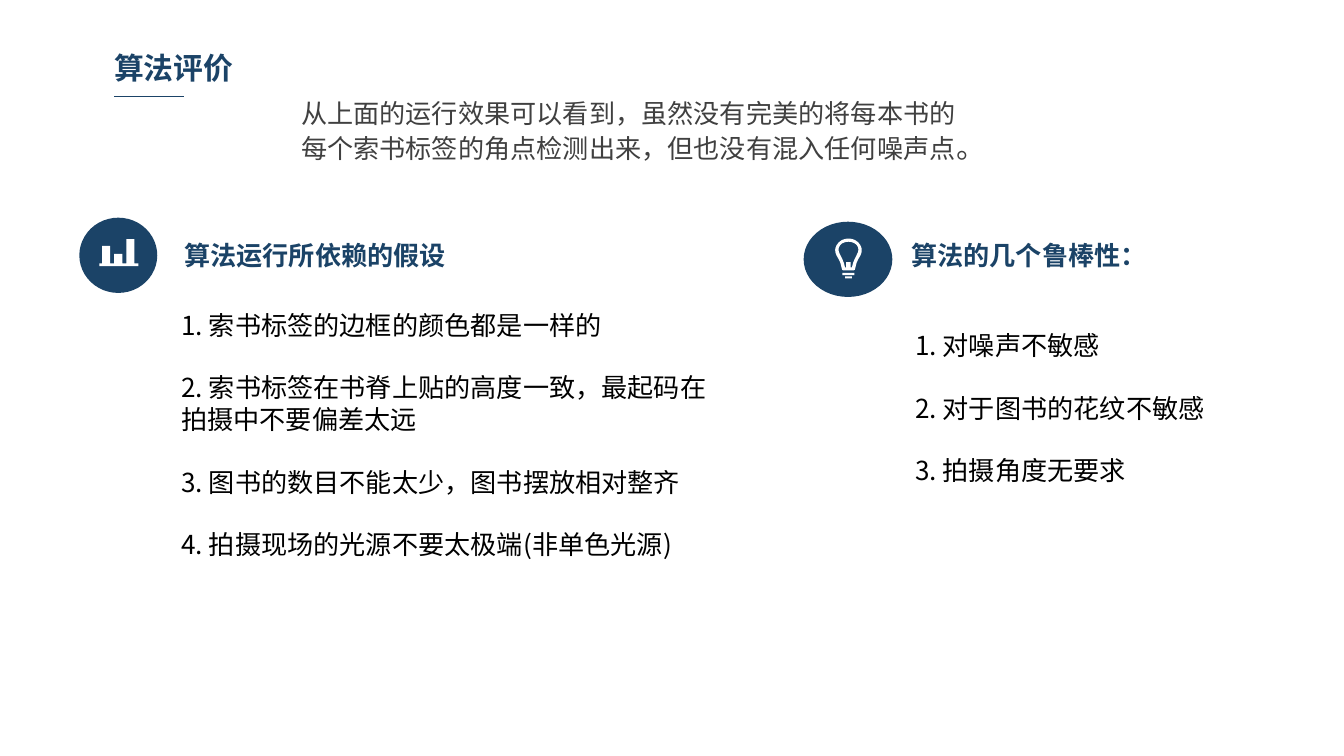
from lxml import etree
from pptx import Presentation
from pptx.dml.color import RGBColor
from pptx.enum.shapes import MSO_CONNECTOR, MSO_SHAPE
from pptx.enum.text import MSO_ANCHOR, PP_ALIGN
from pptx.oxml.ns import qn
from pptx.util import Inches, Pt

DISC = MSO_SHAPE.FLOWCHART_CONNECTOR
STRAIGHT = MSO_CONNECTOR.STRAIGHT
TOP = MSO_ANCHOR.TOP
LEFT = PP_ALIGN.LEFT
FONT = "Noto Sans CJK SC"
NAVY = RGBColor(0x1B, 0x43, 0x67)
GRAY = RGBColor(0x40, 0x40, 0x40)
BLACK = RGBColor(0, 0, 0)
WHITE = RGBColor(0xFF, 0xFF, 0xFF)
LINE_FACTOR = 1.2

TITLE = "算法评价"
INTRO = [
    ("从上面的运行效果可以看到，虽然没有完美的将每本书的"
     "每个索书标签的角点检测出来，但也没有混入任何噪声点", 14),
    ("。", 16),
]

BARS = [[
    (1000, 1960), (1000, 1780), (940, 1780), (940, 1960), (910, 1960),
    (910, 1890), (850, 1890), (850, 1960), (820, 1960), (820, 1830),
    (760, 1830), (760, 1960), (740, 1960), (740, 1980), (1030, 1980),
    (1030, 1960),
]]

BULB_CENTER = 6313
BULB_HALVES = [
    [(0, 1775), (25, 1778), (50, 1787), (72, 1803), (88, 1824), (97, 1845),
     (99, 1860), (97, 1880), (88, 1903), (72, 1930), (60, 1957), (52, 1990),
     (47, 2008), (38, 2013)],
    [(0, 1799), (25, 1802), (48, 1812), (63, 1826), (72, 1844), (74, 1860),
     (71, 1876), (60, 1900), (45, 1930), (33, 1960), (26, 1990), (17, 1990),
     (17, 1950)],
    [(45, 2030), (45, 2047)],
    [(25, 2057), (25, 2072)],
]
BULB = [
    [(BULB_CENTER + x, y) for x, y in half]
    + [(BULB_CENTER - x, y) for x, y in reversed(half)]
    for half in BULB_HALVES
]

SECTIONS = [
    {
        "heading": "算法运行所依赖的假设",
        "heading_at": (1.37, 1.78, 2.08, 0.24),
        "disc_at": (0.59, 1.62, 0.58, 0.56),
        "icon": BARS,
        "items": [
            "1. 索书标签的边框的颜色都是一样的",
            "2. 索书标签在书脊上贴的高度一致，最起码在拍摄中不要偏差太远",
            "3. 图书的数目不能太少，图书摆放相对整齐",
            "4. 拍摄现场的光源不要太极端(非单色光源)",
        ],
        "items_at": (1.25, 2.25, 4.27, 1.98),
    },
    {
        "heading": "算法的几个鲁棒性：",
        "heading_at": (6.78, 1.78, 2.01, 0.24),
        "disc_at": (5.98, 1.65, 0.66, 0.56),
        "icon": BULB,
        "items": [
            "1. 对噪声不敏感",
            "2. 对于图书的花纹不敏感",
            "3. 拍摄角度无要求",
        ],
        "items_at": (6.71, 2.4, 2.78, 1.28),
    },
]


def place(shape, area):
    shape.left, shape.top, shape.width, shape.height = map(Inches, area)


def write(box, paragraphs, color, bold=False, inset=(0, 0)):
    frame = box.text_frame
    frame.word_wrap = True
    frame.vertical_anchor = TOP
    frame.margin_left = frame.margin_right = Inches(inset[0])
    frame.margin_top = frame.margin_bottom = Inches(inset[1])
    for index, spans in enumerate(paragraphs):
        para = frame.add_paragraph() if index else frame.paragraphs[0]
        para.alignment = LEFT
        line_height = Pt(LINE_FACTOR * max(size for _, size in spans))
        para.line_spacing = line_height
        para.space_before = line_height if index else Pt(0)
        for text, size in spans:
            span = para.add_run()
            span.text = text
            span.font.name = FONT
            span.font.size = Pt(size)
            span.font.bold = bold
            span.font.color.rgb = color
            east_asian = etree.SubElement(span.font._element, qn("a:ea"))
            east_asian.set("typeface", FONT)


def add_text(slide, area, *args, **kwargs):
    box = slide.shapes.add_textbox(*map(Inches, area))
    write(box, *args, **kwargs)


def paint(shape, color):
    shape.shadow.inherit = False
    shape.fill.solid()
    shape.fill.fore_color.rgb = color
    shape.line.fill.background()


def add_icon(slide, contours):
    builder = slide.shapes.build_freeform(*contours[0][0], scale=Inches(1) / 1000)
    for index, points in enumerate(contours):
        if index:
            builder.move_to(*points[0])
        builder.add_line_segments(points[1:], close=True)
    paint(builder.convert_to_shape(), WHITE)


def add_section(slide, section):
    disc = slide.shapes.add_shape(DISC, *map(Inches, section["disc_at"]))
    paint(disc, NAVY)
    add_icon(slide, section["icon"])
    add_text(slide, section["heading_at"], [[(section["heading"], 14)]], NAVY, bold=True)
    items = [[(item, 14)] for item in section["items"]]
    add_text(slide, section["items_at"], items, BLACK, inset=(0.1, 0.05))


def main():
    deck = Presentation()
    deck.slide_width = Inches(10)
    deck.slide_height = deck.slide_width * 9 // 16
    page = deck.slides.add_slide(deck.slide_layouts[5])

    title = page.shapes.title
    place(title, (0.85, 0.37, 1.53, 0.27))
    write(title, [[(TITLE, 16)]], NAVY, bold=True)
    add_text(page, (2.24, 0.69, 5.01, 0.5), [INTRO], GRAY)

    rule = page.shapes.add_connector(STRAIGHT, *map(Inches, (0.85, 0.72, 1.37, 0.72)))
    rule.line.color.rgb = NAVY
    rule.line.width = Pt(0.75)
    etree.SubElement(rule._element.spPr, qn("a:effectLst"))

    for section in SECTIONS:
        add_section(page, section)
    deck.save("out.pptx")


if __name__ == "__main__":
    main()
